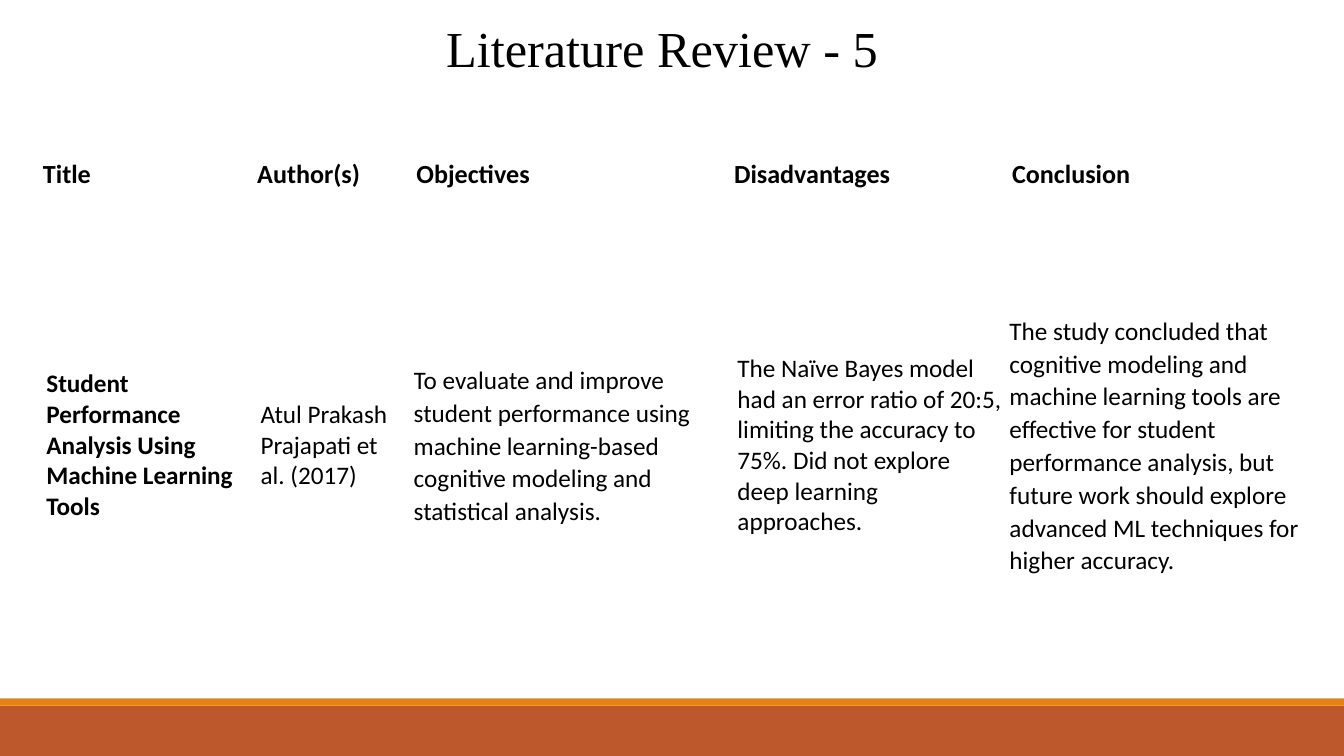
import pptx
import pptx.util
import pptx.dml.color
import pptx.enum.shapes
import pptx.enum.text

Pt = pptx.util.Pt
FONT = "Calibri"
WIDE, HIGH = 1440.72, 810.72
TITLE = "Literature Review - 5"
BARS = [(756.72, 54, "BD582C"), (748.8, 7.92, "E48312")]
HEADS = ["Title", "Author(s)", "Objectives", "Disadvantages", "Conclusion"]
STUDY = [
    "Student Performance Analysis Using Machine Learning Tools",
    "Atul Prakash Prajapati et al. (2017)",
    "To evaluate and improve student performance using machine learning-based "
    "cognitive modeling and statistical analysis.",
    "The Naïve Bayes model had an error ratio of 20:5, limiting the accuracy "
    "to 75%. Did not explore deep learning approaches.",
    "The study concluded that cognitive modeling and machine learning tools are "
    "effective for student performance analysis, but future work should explore "
    "advanced ML techniques for higher accuracy.",
]
COLS = [229.68, 170.64, 340.56, 298.08, 340.56]
ROWS = [42.48, 539.28]
LOOSE = {2, 4}


def color(code):
    return pptx.dml.color.RGBColor.from_string(code)


def write(para, text, size, font, bold=False):
    run = para.add_run()
    run.text = text
    run.font.size = Pt(size)
    run.font.name = font
    run.font.bold = bold
    run.font.color.rgb = color("000000")


def inset(box, side, top):
    box.margin_left = box.margin_right = Pt(side)
    box.margin_top = box.margin_bottom = Pt(top)


def add_bars(slide):
    for top, high, fill in BARS:
        bar = slide.shapes.add_shape(
            pptx.enum.shapes.MSO_SHAPE.RECTANGLE, 0, Pt(top), Pt(WIDE), Pt(high))
        bar.shadow.inherit = False
        bar.fill.solid()
        bar.fill.fore_color.rgb = color(fill)
        bar.line.fill.background()


def add_title(slide):
    title = slide.shapes.title
    title.left, title.top = Pt(468.72), Pt(15.12)
    title.width, title.height = Pt(482.4), Pt(72.72)
    frame = title.text_frame
    frame.word_wrap = False
    frame.auto_size = pptx.enum.text.MSO_AUTO_SIZE.NONE
    frame.vertical_anchor = pptx.enum.text.MSO_ANCHOR.TOP
    inset(frame, 7.2, 3.6)
    para = frame.paragraphs[0]
    para.alignment = pptx.enum.text.PP_ALIGN.CENTER
    write(para, TITLE, 54, "Times New Roman")


def add_grid(slide):
    grid = slide.shapes.add_table(
        len(ROWS), len(COLS), Pt(42.48), Pt(165.6),
        Pt(sum(COLS)), Pt(sum(ROWS))).table
    grid.first_row = grid.horz_banding = False
    for col, wide in zip(grid.columns, COLS):
        col.width = Pt(wide)
    for row, high in zip(grid.rows, ROWS):
        row.height = Pt(high)
    for r, texts in enumerate([HEADS, STUDY]):
        for c, text in enumerate(texts):
            cell = grid.cell(r, c)
            cell.fill.background()
            cell.vertical_anchor = pptx.enum.text.MSO_ANCHOR.MIDDLE
            para = cell.text_frame.paragraphs[0]
            if r == 0:
                inset(cell, 3.6, 2.16)
            elif c in LOOSE:
                inset(cell, 0.72, 0.72)
                para.line_spacing = 1.07
                para.space_after = Pt(8)
            write(para, text, 27 if r else 28, FONT, r == 0 or c == 0)


def main():
    deck = pptx.Presentation()
    deck.slide_width, deck.slide_height = Pt(WIDE), Pt(HIGH)
    slide = deck.slides.add_slide(deck.slide_layouts[5])
    add_bars(slide)
    add_grid(slide)
    add_title(slide)
    deck.save("out.pptx")


if __name__ == "__main__":
    main()
